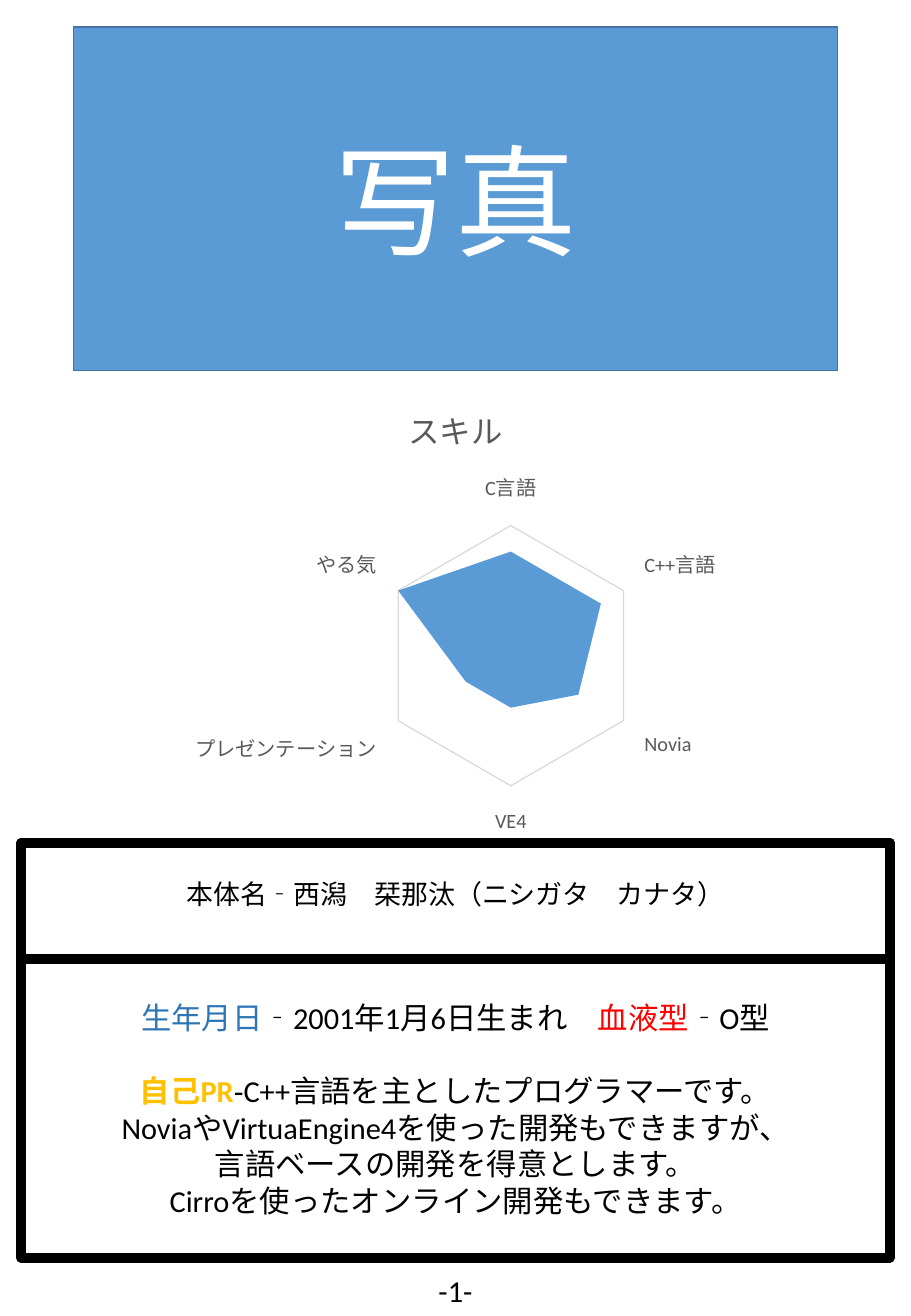
from pptx import Presentation
from pptx.chart.data import CategoryChartData
from pptx.dml.color import RGBColor
from pptx.enum.chart import XL_CHART_TYPE, XL_TICK_MARK
from pptx.enum.shapes import MSO_SHAPE
from pptx.enum.text import MSO_ANCHOR, PP_ALIGN
from pptx.util import Inches, Pt

BLACK = RGBColor(0x00, 0x00, 0x00)
WHITE = RGBColor(0xFF, 0xFF, 0xFF)
BLUE = RGBColor(0x5B, 0x9B, 0xD5)
BLUE_EDGE = RGBColor(0x43, 0x73, 0x9E)
BLUE_TEXT = RGBColor(0x2E, 0x75, 0xB6)
RED = RGBColor(0xFF, 0x00, 0x00)
GOLD = RGBColor(0xFF, 0xC0, 0x00)
GRAY = RGBColor(0x59, 0x59, 0x59)
GRID = RGBColor(0xD9, 0xD9, 0xD9)
FONT = "Calibri"

CHART_TITLE = "スキル"
SKILLS = {"C言語": 80, "C++言語": 80, "Novia": 60, "VE4": 40,
          "プレゼンテーション": 40, "やる気": 100}
PHOTO = [[("写真", WHITE, False)]]
NAME = [[("本体名‐西潟　栞那汰（ニシガタ　カナタ）", BLACK, False)]]
PROFILE = [
    [("生年月日", BLUE_TEXT, False), ("‐2001年1月6日生まれ　", BLACK, False),
     ("血液型", RED, False), ("‐O型", BLACK, False)],
    [("自己PR", GOLD, True), ("‐C++言語を主としたプログラマーです。", BLACK, False)],
    [("NoviaやVirtuaEngine4を使った開発もできますが、", BLACK, False)],
    [("言語ベースの開発を得意とします。", BLACK, False)],
    [("Cirroを使ったオンライン開発もできます。", BLACK, False)],
]
PAGE = [[("-1-", BLACK, False)]]

WIDTH, HEIGHT = 7.5, 10.83
BODY_W, FRAME_W = 6.29, 7.15
FRAME_TOP = 6.94


def centred(width, top, height):
    return [Inches(v) for v in ((WIDTH - width) / 2, top, width, height)]


def style_font(font, size, color):
    font.name, font.size = FONT, Pt(size)
    font.color.rgb = color


def write(sp, lines, size, anchor=MSO_ANCHOR.TOP):
    tf = sp.text_frame
    tf.word_wrap = True
    tf.vertical_anchor = anchor
    for i, line in enumerate(lines):
        p = tf.paragraphs[0] if i == 0 else tf.add_paragraph()
        p.alignment = PP_ALIGN.CENTER
        for text, color, bold in line:
            r = p.add_run()
            r.text = text
            style_font(r.font, size, color)
            r.font.bold = bold
    return tf


def add_box(slide, place, fill, edge, weight):
    sp = slide.shapes.add_shape(MSO_SHAPE.RECTANGLE, *place)
    sp.shadow.inherit = False
    sp.fill.solid()
    sp.fill.fore_color.rgb = fill
    sp.line.color.rgb = edge
    sp.line.width = Pt(weight)
    return sp


def add_skill_chart(slide):
    data = CategoryChartData()
    data.categories = list(SKILLS)
    data.add_series(CHART_TITLE, list(SKILLS.values()))
    chart = slide.shapes.add_chart(
        XL_CHART_TYPE.RADAR_FILLED, *centred(WIDTH, 3.14, 3.8), data).chart
    style_font(chart.font, 10, BLACK)
    chart.has_legend = False
    chart.has_title = True
    title = chart.chart_title.text_frame
    title.text = CHART_TITLE
    style_font(title.paragraphs[0].runs[0].font, 18.6, GRAY)
    title.paragraphs[0].runs[0].font.bold = False

    plot = chart.plots[0]
    plot.vary_by_categories = False
    fill = plot.series[0].format.fill
    fill.solid()
    fill.fore_color.rgb = BLUE
    plot.series[0].format.line.fill.background()

    cat = chart.category_axis
    cat.has_major_gridlines = False
    cat.major_tick_mark = XL_TICK_MARK.NONE
    style_font(cat.tick_labels.font, 12, GRAY)
    val = chart.value_axis
    val.minimum_scale, val.maximum_scale, val.major_unit = 0, 100, 100
    val.visible = False
    val.has_major_gridlines = True
    for line in (cat.format.line, val.major_gridlines.format.line):
        line.color.rgb = GRID
        line.width = Pt(0.75)


def main():
    prs = Presentation()
    prs.slide_width, prs.slide_height = Inches(WIDTH), Inches(HEIGHT)
    slide = prs.slides.add_slide(prs.slide_layouts[6])

    add_skill_chart(slide)
    for height in (3.41, 0.95):
        add_box(slide, centred(FRAME_W, FRAME_TOP, height), WHITE, BLACK, 6)
    photo = add_box(slide, centred(BODY_W, 0.22, 2.83), BLUE, BLUE_EDGE, 1)
    write(photo, PHOTO, 72, MSO_ANCHOR.MIDDLE)

    add_text = slide.shapes.add_textbox
    write(add_text(*centred(BODY_W, 7.17, 0.37)), NAME, 16)
    profile = write(add_text(*centred(BODY_W, 8.17, 1.92)), PROFILE, 18)
    profile.paragraphs[1].space_before = Pt(22)
    write(add_text(*centred(1.38, 10.42, 0.4)), PAGE, 18, MSO_ANCHOR.MIDDLE)

    prs.save("out.pptx")


if __name__ == "__main__":
    main()
